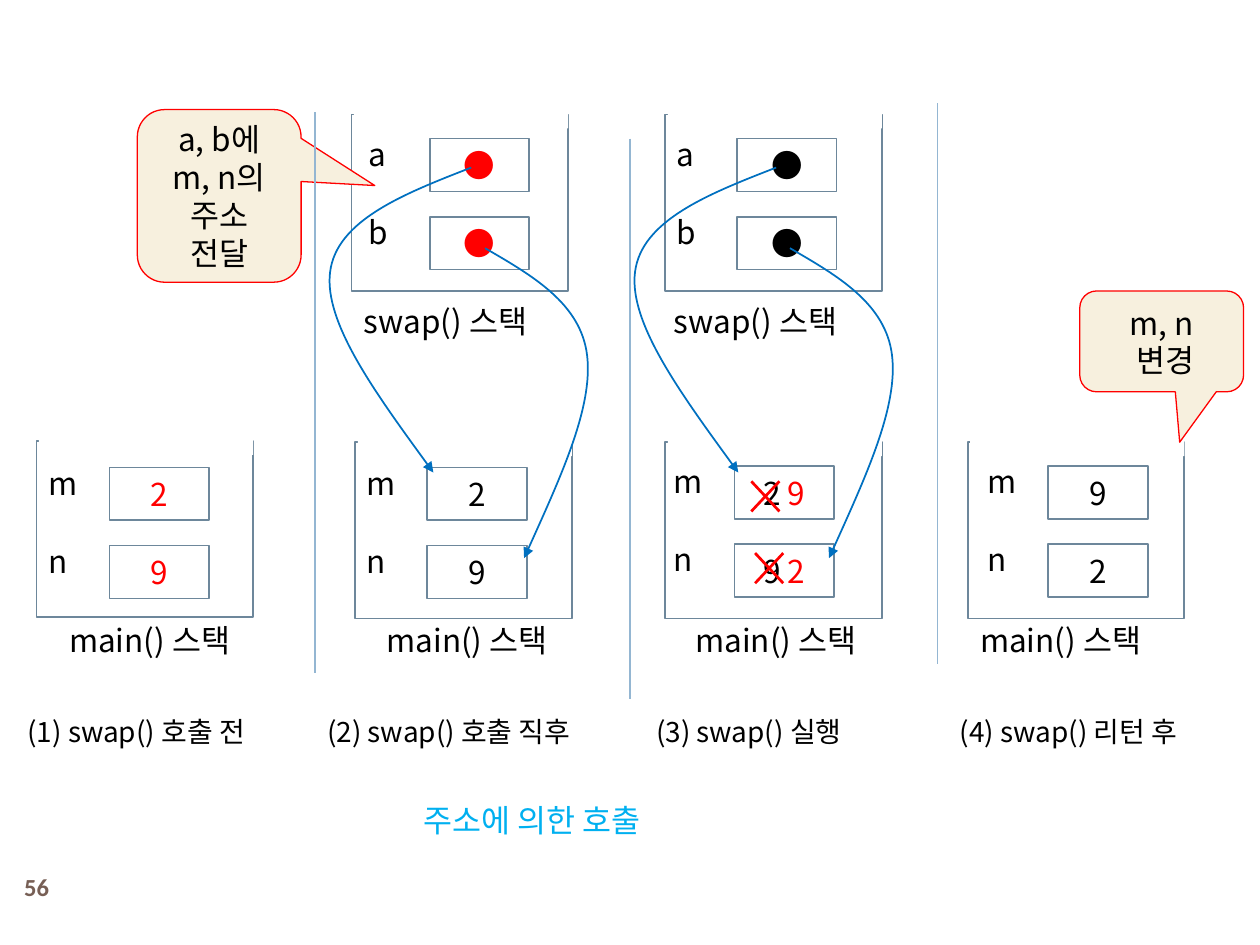
from dataclasses import dataclass
from lxml import etree
from pptx import Presentation
from pptx.dml.color import RGBColor
from pptx.enum.shapes import MSO_CONNECTOR, MSO_SHAPE
from pptx.enum.text import MSO_ANCHOR, MSO_AUTO_SIZE, PP_ALIGN
from pptx.oxml.ns import qn
from pptx.util import Inches, Pt

RECT = MSO_SHAPE.RECTANGLE
CALLOUT = MSO_SHAPE.ROUNDED_RECTANGULAR_CALLOUT
CROSS = MSO_SHAPE.MATH_MULTIPLY
STRAIGHT = MSO_CONNECTOR.STRAIGHT
CENTER, LEFT = PP_ALIGN.CENTER, PP_ALIGN.LEFT
MIDDLE, TOP = MSO_ANCHOR.MIDDLE, MSO_ANCHOR.TOP
GROW = MSO_AUTO_SIZE.SHAPE_TO_FIT_TEXT


@dataclass
class Theme:
    font: str = "Noto Sans CJK KR"
    number_font: str = "Calibri"
    body: int = 18
    step: int = 16
    number: int = 14
    black: str = "000000"
    white: str = "FFFFFF"
    red: str = "FF0000"
    frame: str = "6D879B"
    arrow: str = "0070C0"
    divider: str = "94B6D2"
    note: str = "F7F0DE"
    caption: str = "00B0F0"
    page: str = "775F55"


theme = Theme()
prs = Presentation()
prs.slide_width, prs.slide_height = Inches(10), Inches(7.5)
slide = prs.slides.add_slide(prs.slide_layouts[6])
shapes = slide.shapes


def draw(kind, box, fill=theme.white, line=None, weight=1):
    shape = shapes.add_shape(kind, *map(Inches, box))
    shape.shadow.inherit = False
    shape.fill.solid()
    shape.fill.fore_color.rgb = RGBColor.from_string(fill)
    if line:
        shape.line.color.rgb = RGBColor.from_string(line)
        shape.line.width = Pt(weight)
    else:
        shape.line.fill.background()
    return shape


def write(text, box=None, holder=None, color=theme.black, size=theme.body,
          font=theme.font, bold=False, align=LEFT, anchor=TOP, new_value=""):
    frame = (holder or shapes.add_textbox(*map(Inches, box))).text_frame
    frame.word_wrap = True
    frame.vertical_anchor = anchor
    if holder is None and anchor == TOP:
        frame.auto_size = GROW
    for index, wording in enumerate(text.split("\n")):
        paragraph = frame.paragraphs[0] if index == 0 else frame.add_paragraph()
        paragraph.alignment = align
        for part, part_color in ((wording, color), (new_value, theme.red)):
            if part:
                run = paragraph.add_run()
                run.text = part
                run.font.size, run.font.bold, run.font.name = Pt(size), bold, font
                run.font.color.rgb = RGBColor.from_string(part_color)
                etree.SubElement(run._r.get_or_add_rPr(), qn("a:ea"), typeface=font)


write("56", box=(0, 6.83, 0.58, 0.42), color=theme.page, size=theme.number,
      font=theme.number_font, bold=True, align=CENTER, anchor=MIDDLE)

stacks = [
    ("main() 스택", (0.29, 3.5), (0.45, 4.88), (0.87, 3.71), theme.red,
     [("m", "2", ""), ("n", "9", "")]),
    ("main() 스택", (2.82, 3.51), (2.97, 4.88), (3.39, 3.71), theme.black,
     [("m", "2", ""), ("n", "9", "")]),
    ("swap() 스택", (2.79, 0.91), (2.79, 2.35), (3.41, 1.1), theme.red,
     [("a", "●", ""), ("b", "●", "")]),
    ("main() 스택", (5.28, 3.51), (5.42, 4.88), (5.83, 3.7), theme.black,
     [("m", "2 ", "9"), ("n", "9 ", "2")]),
    ("swap() 스택", (5.28, 0.91), (5.25, 2.35), (5.85, 1.1), theme.black,
     [("a", "●", ""), ("b", "●", "")]),
    ("main() 스택", (7.68, 3.51), (7.68, 4.88), (8.32, 3.7), theme.black,
     [("m", "9", ""), ("n", "2", "")]),
]
for name, (left, top), name_at, (cell_left, cell_top), color, variables in stacks:
    draw(RECT, (left, top, 1.72, 1.4), line=theme.frame)
    draw(RECT, (left + 0.02, top - 0.07, 1.7, 0.18))
    for row, (variable, value, new_value) in enumerate(variables):
        row_top = cell_top + 0.62 * row
        write(variable, box=(cell_left - 0.58, row_top - 0.08, 0.85, 0.4))
        cell = draw(RECT, (cell_left, row_top, 0.79, 0.42), line=theme.frame)
        write(value, holder=cell, color=color, align=CENTER, anchor=MIDDLE,
              new_value=new_value)
    write(name, box=(*name_at, 1.9, 0.4))

steps = [(0.12, "(1) swap() 호출 전"), (2.5, "(2) swap() 호출 직후"),
         (5.11, "(3) swap() 실행"), (7.52, "(4) swap() 리턴 후")]
for left, step in steps:
    write(step, box=(left, 5.62, 2.6, 0.37), size=theme.step)

pointer_to_n = [(3.85, 1.97), (4.23, 2.19), (4.61, 2.41), (4.66, 2.82),
                (4.71, 3.23), (4.43, 3.83), (4.16, 4.43)]
pointer_to_m = [(3.74, 1.33), (3.2, 1.54), (2.67, 1.75), (2.62, 2.16),
                (2.57, 2.56), (3.01, 3.16), (3.44, 3.75)]
for shift in (0, 2.42):
    for pointer in (pointer_to_n, pointer_to_m):
        points = [(Inches(x + shift), Inches(y)) for x, y in pointer]
        builder = shapes.build_freeform(*points[0])
        builder.add_line_segments(points[1:], close=False)
        curve = builder.convert_to_shape()
        curve.shadow.inherit = False
        curve.fill.background()
        curve.line.color.rgb = RGBColor.from_string(theme.arrow)
        curve.line.width = Pt(1)
        etree.SubElement(curve.line._get_or_add_ln(), qn("a:tailEnd"), type="triangle")
        path = next(curve._element.iter(qn("a:path")))
        segments = path.findall(qn("a:lnTo"))
        for start in range(0, len(segments), 3):
            bezier = etree.SubElement(path, qn("a:cubicBezTo"))
            for segment in segments[start:start + 3]:
                bezier.append(segment[0])
                path.remove(segment)

for left, top in ((5.86, 3.71), (5.89, 4.28)):
    cross = draw(CROSS, (left, top, 0.43, 0.46), fill=theme.red)
    cross.adjustments[0] = 0.05

notes = [("a, b에\nm, n의 주소\n전달", (1.09, 0.87, 1.3, 1.37), (0.95, -0.06)),
         ("m, n\n 변경", (8.57, 2.31, 1.3, 0.8), (0.11, 1))]
for text, box, tip in notes:
    note = draw(CALLOUT, box, fill=theme.note, line=theme.red, weight=0.75)
    note.adjustments[0], note.adjustments[1] = tip
    write(text, holder=note, align=CENTER, anchor=MIDDLE)

write("주소에 의한 호출", box=(3.26, 6.31, 2.78, 0.4), color=theme.caption)

for x, top in ((2.5, 0.89), (5, 1.1), (7.44, 0.82)):
    divider = shapes.add_connector(STRAIGHT, Inches(x), Inches(top),
                                   Inches(x), Inches(top + 4.45))
    divider.line.color.rgb = RGBColor.from_string(theme.divider)
    divider.line.width = Pt(0.79)
    etree.SubElement(divider._element.spPr, qn("a:effectLst"))

prs.save("out.pptx")
